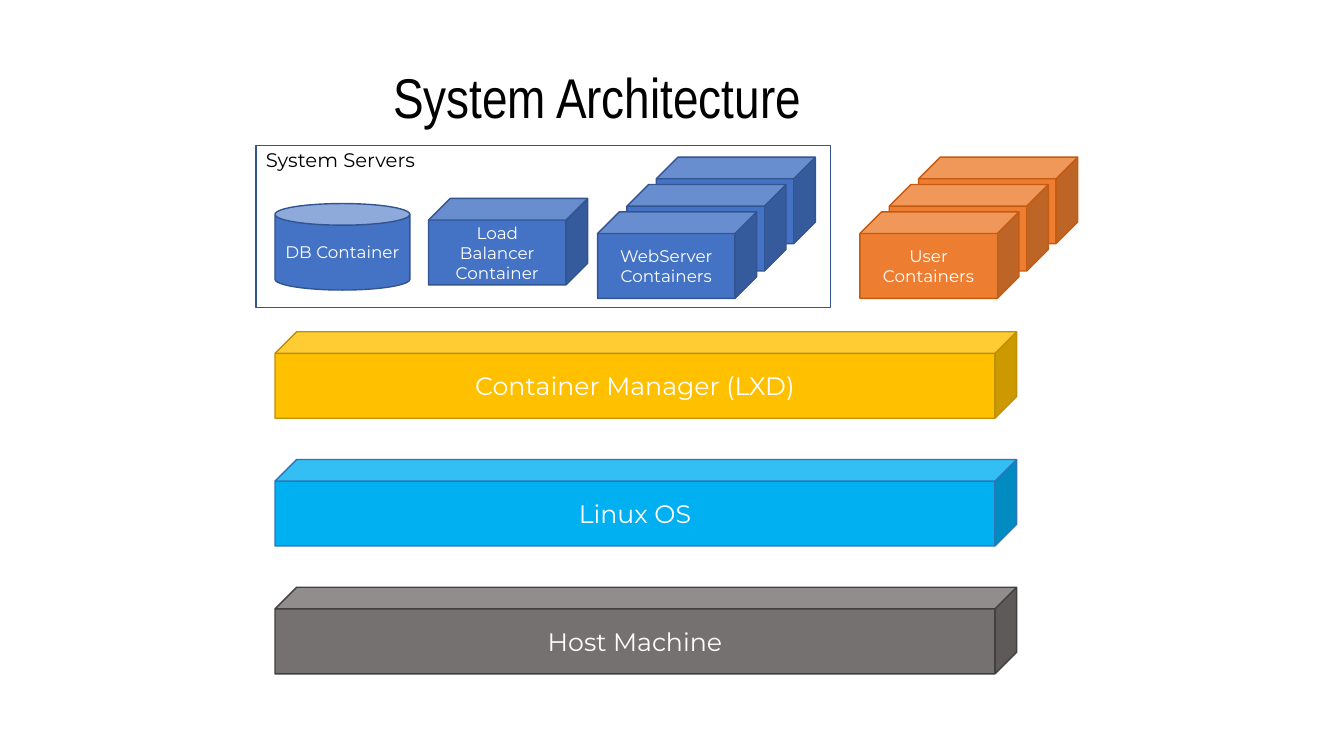
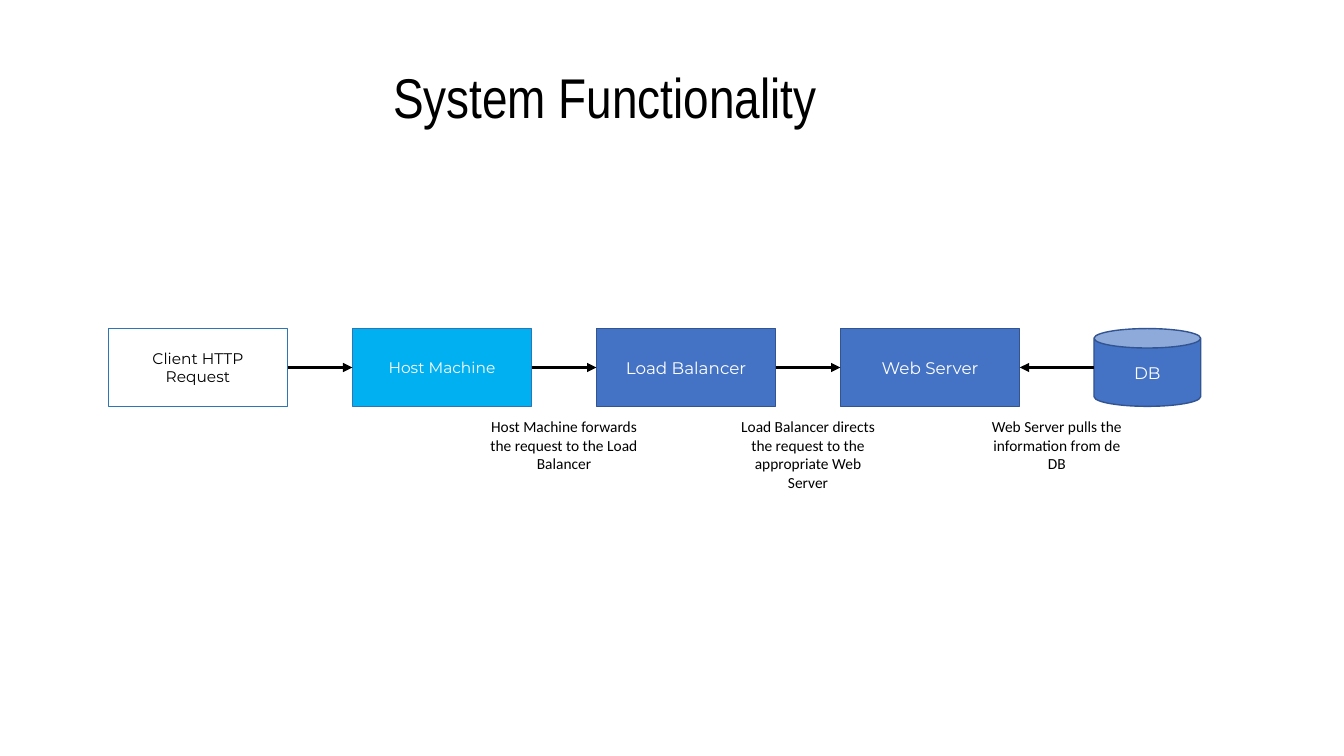
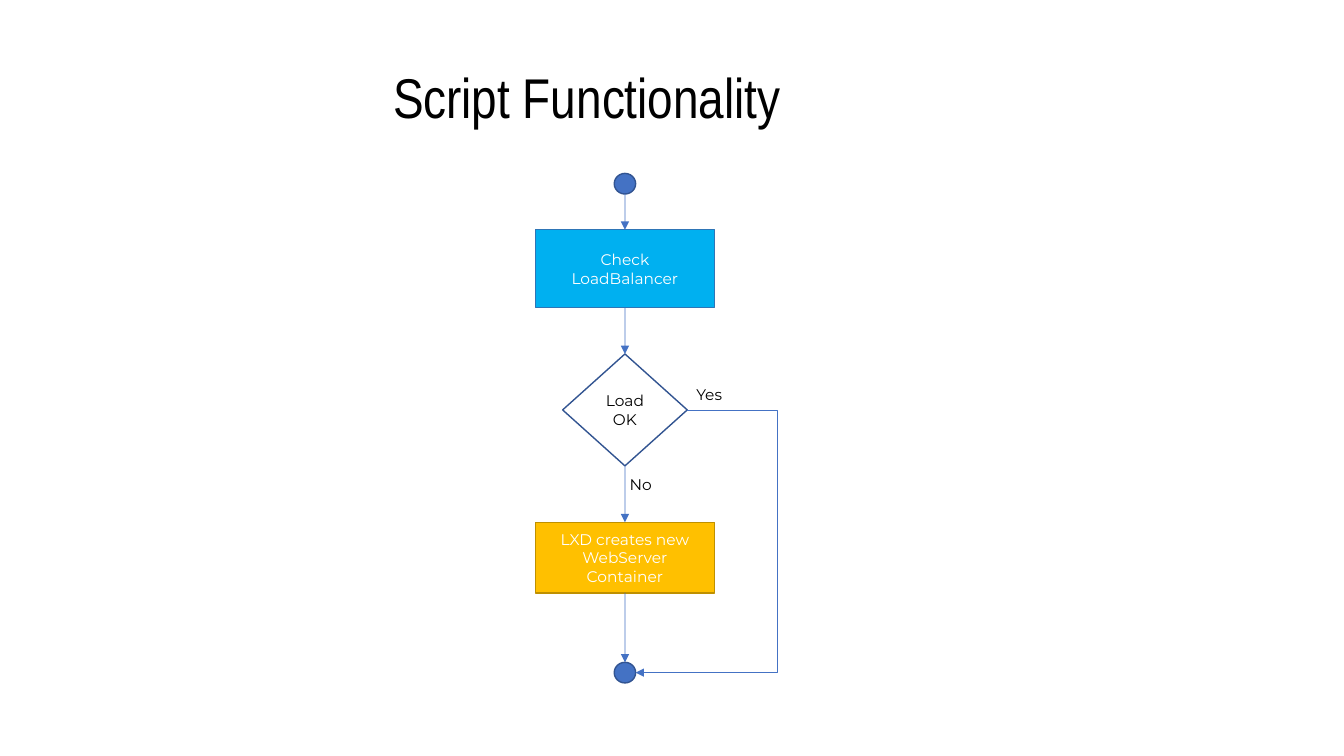
from itertools import pairwise

from lxml import etree
from pptx import Presentation
from pptx.dml.color import RGBColor
from pptx.enum import shapes, text
from pptx.oxml import ns
from pptx.util import Cm, Pt

BLACK = RGBColor(0x00, 0x00, 0x00)
WHITE = RGBColor(0xFF, 0xFF, 0xFF)
BLUE = RGBColor(0x44, 0x72, 0xC4)
DARK_BLUE = RGBColor(0x32, 0x54, 0x91)
SKY = RGBColor(0x00, 0xB0, 0xF0)
DARK_SKY = RGBColor(0x2E, 0x75, 0xB6)
GOLD = RGBColor(0xFF, 0xC0, 0x00)
DARK_GOLD = RGBColor(0xBF, 0x90, 0x00)
ORANGE = RGBColor(0xED, 0x7D, 0x31)
DARK_ORANGE = RGBColor(0xC5, 0x5A, 0x11)
GREY = RGBColor(0x76, 0x71, 0x71)
DARK_GREY = RGBColor(0x40, 0x40, 0x40)

# Each style is (fill, line, text colour)
BLUE_STYLE = (BLUE, DARK_BLUE, WHITE)
SKY_STYLE = (SKY, DARK_SKY, WHITE)
GOLD_STYLE = (GOLD, DARK_GOLD, WHITE)
ORANGE_STYLE = (ORANGE, DARK_ORANGE, WHITE)
GREY_STYLE = (GREY, DARK_GREY, WHITE)
CLEAR_SKY_STYLE = (None, DARK_SKY, BLACK)
CLEAR_BLUE_STYLE = (None, DARK_BLUE, BLACK)

TITLE_FONT = "Arial Narrow"
BODY_FONT = "Montserrat"
NOTE_FONT = "Calibri"

KIND = shapes.MSO_SHAPE
JOINABLE = (KIND.RECTANGLE, KIND.DIAMOND)
TOP, LEFT, BOTTOM, RIGHT = range(4)
CENTRE = text.PP_ALIGN.CENTER
BOX_WIDTH, BOX_HEIGHT = 4.52, 1.96
CUBE_WIDTH, CUBE_HEIGHT = 4.01, 2.18


def write(shape, content, size, color, font=BODY_FONT, align=CENTRE):
    shape.text_frame.text = content
    for paragraph in shape.text_frame.paragraphs:
        paragraph.alignment = align
        for run in paragraph.runs:
            run.font.size = Pt(size)
            run.font.name = font
            run.font.color.rgb = color


def add_titled_slide(presentation, title):
    slide = presentation.slides.add_slide(presentation.slide_layouts[5])
    shape = slide.shapes.title
    shape.left, shape.top, shape.width, shape.height = map(Cm, (9.65, 1.45, 12.7, 1.96))
    frame = shape.text_frame
    frame.auto_size = text.MSO_AUTO_SIZE.NONE
    frame.vertical_anchor = text.MSO_ANCHOR.TOP
    write(shape, title, 40, BLACK, TITLE_FONT, text.PP_ALIGN.LEFT)
    return slide


def add_block(slide, kind, box, style, content="", size=12):
    """Place a preset shape in box, which is left, top, width and height in cm."""
    fill, line, color = style
    shape = slide.shapes.add_shape(kind, *map(Cm, box))
    shape.shadow.inherit = False
    if fill is None:
        shape.fill.background()
    else:
        shape.fill.solid()
        shape.fill.fore_color.rgb = fill
    shape.line.color.rgb = line
    shape.line.width = Pt(1)
    shape.text_frame.vertical_anchor = text.MSO_ANCHOR.MIDDLE
    if content:
        write(shape, content, size, color)
    return shape


def add_label(slide, box, content, size=11, font=BODY_FONT, align=text.PP_ALIGN.LEFT, wrap=True):
    label = slide.shapes.add_textbox(*map(Cm, box))
    label.text_frame.word_wrap = wrap
    write(label, content, size, BLACK, font, align)


def side_middle(shape, side):
    middle_x = shape.left + shape.width // 2
    middle_y = shape.top + shape.height // 2
    return {
        TOP: (middle_x, shape.top),
        LEFT: (shape.left, middle_y),
        BOTTOM: (middle_x, shape.top + shape.height),
        RIGHT: (shape.left + shape.width, middle_y),
    }[side]


def add_arrow(slide, start, end, color, width, bend_x=None):
    """Draw an arrow between two (shape, side) ends, bent at bend_x if given."""
    begin_point, end_point = side_middle(*start), side_middle(*end)
    straight = bend_x is None
    kind = shapes.MSO_CONNECTOR.STRAIGHT if straight else shapes.MSO_CONNECTOR.ELBOW
    arrow = slide.shapes.add_connector(kind, *begin_point, *end_point)
    arrow.line.color.rgb = color
    arrow.line.width = Pt(width)
    properties = arrow._element.spPr
    line = properties.find(ns.qn("a:ln"))
    etree.SubElement(line, ns.qn("a:tailEnd"), type="triangle")
    etree.SubElement(properties, ns.qn("a:effectLst"))
    if straight:
        for (shape, side), connect in ((start, arrow.begin_connect), (end, arrow.end_connect)):
            if shape.auto_shape_type in JOINABLE:
                connect(shape, side)
    else:
        ratio = (bend_x - begin_point[0]) / (end_point[0] - begin_point[0])
        guides = properties.find(ns.qn("a:prstGeom")).get_or_add_avLst()
        etree.SubElement(guides, ns.qn("a:gd"), name="adj1", fmla=f"val {round(ratio * 100000)}")


def add_cube_stack(slide, left, top, style, content):
    """Stack three cubes, the front one at left and top."""
    for depth in (2, 1, 0):
        box = (left + 0.74 * depth, top - 0.69 * depth, CUBE_WIDTH, CUBE_HEIGHT)
        add_block(slide, KIND.CUBE, box, style, content if depth == 0 else "")


def add_system_servers(slide, left, top):
    add_block(slide, KIND.RECTANGLE, (left, top, 14.48, 4.09), CLEAR_BLUE_STYLE)
    add_label(slide, (left, top - 0.05, 5.56, 0.86), "System Servers", 14)
    add_block(slide, KIND.CAN, (left + 0.48, top + 1.47, 3.4, CUBE_HEIGHT),
              BLUE_STYLE, "DB Container")
    add_block(slide, KIND.CUBE, (left + 4.35, top + 1.34, CUBE_WIDTH, CUBE_HEIGHT),
              BLUE_STYLE, "Load Balancer\nContainer")
    add_cube_stack(slide, left + 8.61, top + 1.68, BLUE_STYLE, "WebServer\nContainers")


def add_layers(slide, left, top):
    layers = (("Container Manager (LXD)", GOLD_STYLE), ("Linux OS", SKY_STYLE),
              ("Host Machine", GREY_STYLE))
    for row, (name, style) in enumerate(layers):
        box = (left, top + 3.22 * row, 18.69, CUBE_HEIGHT)
        add_block(slide, KIND.CUBE, box, style, name, 18)


def build_architecture(presentation):
    slide = add_titled_slide(presentation, "System Architecture")
    add_system_servers(slide, 6.45, 3.66)
    add_cube_stack(slide, 21.67, 5.34, ORANGE_STYLE, "User Containers")
    add_layers(slide, 6.93, 8.36)


def add_request_chain(slide, left, top):
    stations = (("Client HTTP Request", CLEAR_SKY_STYLE, 11), ("Host Machine", SKY_STYLE, 11),
                ("Load Balancer", BLUE_STYLE, 12), ("Web Server", BLUE_STYLE, 12))
    step, database_left = 6.15, left + 24.84
    boxes = [
        add_block(slide, KIND.RECTANGLE, (left + step * column, top, BOX_WIDTH, BOX_HEIGHT),
                  style, name, size)
        for column, (name, style, size) in enumerate(stations)
    ]
    database = add_block(slide, KIND.CAN, (database_left, top, 2.69, BOX_HEIGHT),
                         BLUE_STYLE, "DB")
    for source, target in pairwise(boxes):
        add_arrow(slide, (source, RIGHT), (target, LEFT), BLACK, 2.25)
    add_arrow(slide, (database, LEFT), (boxes[-1], RIGHT), BLACK, 2.25)

    notes = ("Host Machine forwards the request to the Load Balancer",
             "Load Balancer directs the request to the appropriate Web Server",
             "Web Server pulls the information from de DB")
    note_width = 4.22
    next_lefts = (left + 2 * step, left + 3 * step, database_left)
    for column, (note, next_left) in enumerate(zip(notes, next_lefts), start=1):
        gap_middle = (left + step * column + BOX_WIDTH + next_left) / 2
        add_label(slide, (gap_middle - note_width / 2, top + 2.11, note_width, 1.68),
                  note, font=NOTE_FONT, align=CENTRE)


def build_functionality(presentation):
    slide = add_titled_slide(presentation, "System Functionality")
    add_request_chain(slide, 2.73, 8.28)


def add_script_flow(slide, center, top):
    def add_step(kind, offset, width, height, style, content=""):
        box = (center - width / 2, top + offset, width, height)
        return add_block(slide, kind, box, style, content, 11)

    start = add_step(KIND.OVAL, 0, 0.54, 0.52, BLUE_STYLE)
    check = add_step(KIND.RECTANGLE, 1.42, BOX_WIDTH, BOX_HEIGHT, SKY_STYLE,
                     "Check LoadBalancer")
    decision = add_step(KIND.DIAMOND, 4.55, 3.14, 2.82, CLEAR_BLUE_STYLE, "Load OK")
    create = add_step(KIND.RECTANGLE, 8.79, BOX_WIDTH, 1.78, GOLD_STYLE,
                      "LXD creates new WebServer Container")
    finish = add_step(KIND.OVAL, 12.32, 0.54, 0.52, BLUE_STYLE)
    for source, target in pairwise((start, check, decision, create, finish)):
        add_arrow(slide, (source, BOTTOM), (target, TOP), BLUE, 0.5)
    add_arrow(slide, (decision, RIGHT), (finish, RIGHT), BLUE, 0.5, Cm(center + 3.84))
    add_label(slide, (center - 0.13, top + 7.49, 1.1, 0.73), "No", wrap=False)
    add_label(slide, (center + 1.55, top + 5.2, 1.32, 0.73), "Yes", wrap=False)


def build_script(presentation):
    slide = add_titled_slide(presentation, "Script Functionality")
    add_script_flow(slide, 15.75, 4.37)


def main():
    presentation = Presentation()
    presentation.slide_width = Cm(33.87)
    presentation.slide_height = Cm(19.05)
    build_architecture(presentation)
    build_functionality(presentation)
    build_script(presentation)
    presentation.save("out.pptx")


if __name__ == "__main__":
    main()
